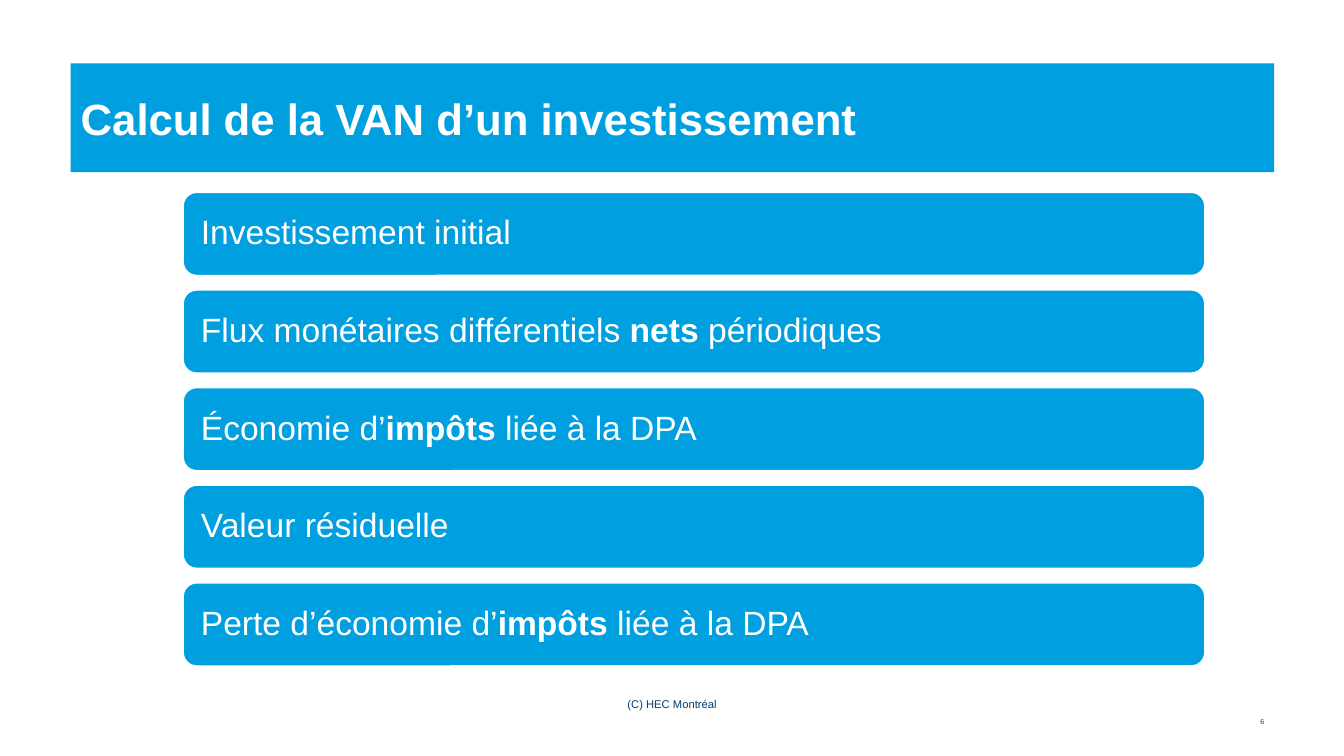
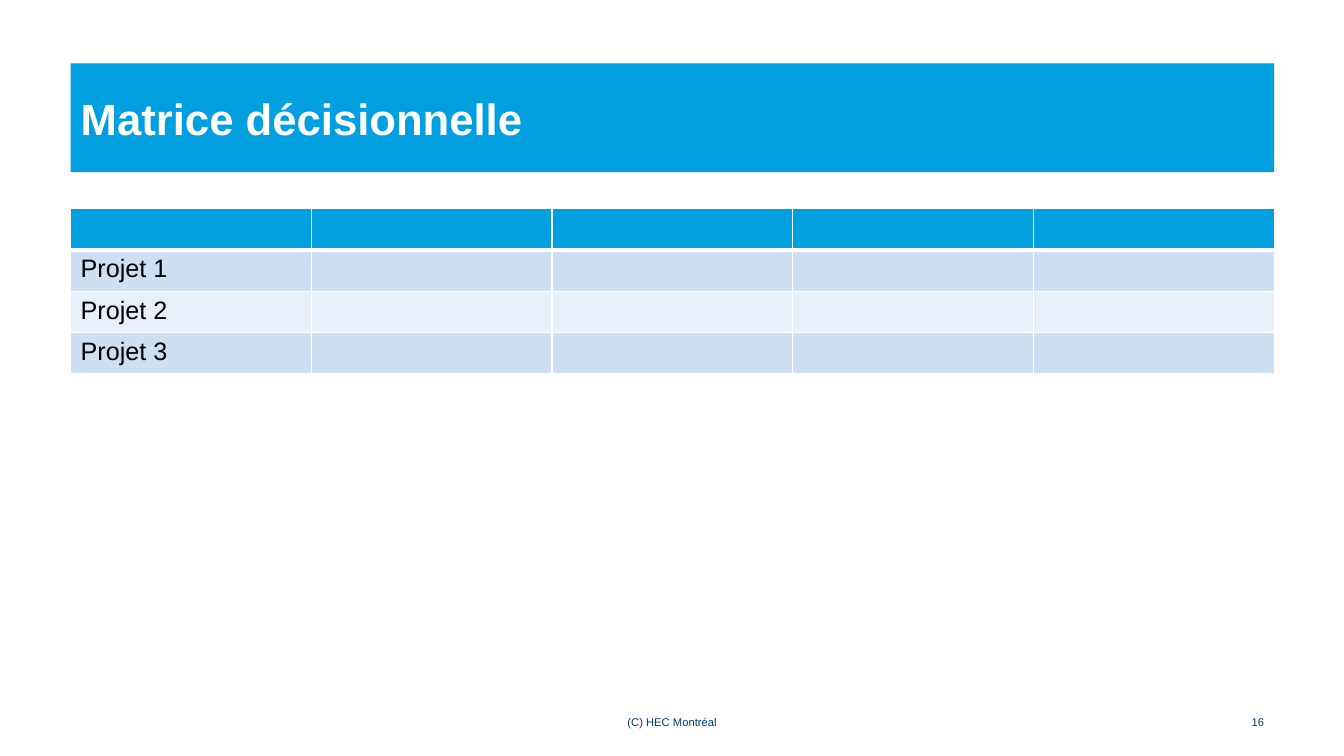
from dataclasses import dataclass

from lxml import etree
from pptx import Presentation
from pptx.dml.color import RGBColor
from pptx.enum.shapes import MSO_SHAPE
from pptx.enum.text import MSO_ANCHOR, MSO_AUTO_SIZE, PP_ALIGN
from pptx.oxml.ns import qn
from pptx.util import Cm, Pt

LEFT, MID, RIGHT = PP_ALIGN.LEFT, PP_ALIGN.CENTER, PP_ALIGN.RIGHT
CENTRE = MSO_ANCHOR.MIDDLE
NO_FIT = MSO_AUTO_SIZE.NONE
ROUND = MSO_SHAPE.ROUNDED_RECTANGLE
TITLE_ONLY = 5


@dataclass(frozen=True)
class Theme:
    font: str = "Arial"
    blue: str = "009FDF"
    navy: str = "003C71"
    white: str = "FFFFFF"
    black: str = "000000"
    bands: tuple = ("CCDFF3", "E7F0F9")
    head: float = 31.2
    card: float = 24
    cell: float = 18
    foot: float = 8
    tiny: float = 5


T = Theme()

# Regions: left, top, width, height in centimetres
TITLE = (1.78, 1.6, 30.33, 2.74)
CARDS = (4.6, 4.83, 25.78, 11.97)
GRID = (1.78, 5.26, 30.33, 4.16)
FOOT = (11.58, 10.72, 0.46)  # left, width, height
PAGE = (30.38, 17.96, 1.73, 0.46)


def place(box):
    return [Cm(n) for n in box]


def paint(item, color):
    item.fill.solid()
    item.fill.fore_color.rgb = RGBColor.from_string(color)


def write(frame, text, size, color, bold=False, align=LEFT, space=None):
    """Fill a frame with one paragraph; *stars* mark bold words."""
    frame.word_wrap = True
    frame.vertical_anchor = CENTRE
    para = frame.paragraphs[0]
    para.alignment = align
    if space:
        para.line_spacing = space
    for i, part in enumerate(text.split("*")):
        run = para.add_run()
        run.text = part
        font = run.font
        font.name, font.size = T.font, Pt(size)
        font.bold = bold or i % 2 == 1
        font.color.rgb = RGBColor.from_string(color)


def label(slide, box, text, size, align):
    frame = slide.shapes.add_textbox(*place(box)).text_frame
    frame.margin_top = frame.margin_bottom = 0
    write(frame, text, size, T.navy, align=align)


def start(prs, title, page, size, top):
    """Add a slide with its title band, footer and page number."""
    slide = prs.slides.add_slide(prs.slide_layouts[TITLE_ONLY])
    band = slide.shapes.title
    band.left, band.top, band.width, band.height = place(TITLE)
    paint(band, T.blue)
    band.text_frame.auto_size = NO_FIT
    write(band.text_frame, title, T.head, T.white, bold=True)
    left, width, height = FOOT
    label(slide, (left, top, width, height), "(C) HEC Montréal", T.foot, MID)
    label(slide, PAGE, page, size, RIGHT)
    return slide


def stack(slide, box, items, gap=0.33):
    """Stack equal rounded cards in the box."""
    left, top, width, height = box
    tall = (height - gap * (len(items) - 1)) / len(items)
    for i, text in enumerate(items):
        spot = (left, top + i * (tall + gap), width, tall)
        card = slide.shapes.add_shape(ROUND, *place(spot))
        card.shadow.inherit = False
        paint(card, T.blue)
        card.line.color.rgb = RGBColor.from_string(T.white)
        card.line.width = Pt(2)
        card.text_frame.margin_left = Cm(0.36)
        write(card.text_frame, text, T.card, T.white, space=0.9)


def edge(cell, base):
    """Draw white borders; base is the width of the lower one."""
    props = cell._tc.get_or_add_tcPr()
    for side, width in (("L", 1), ("R", 1), ("T", 1), ("B", base)):
        line = etree.SubElement(props, qn(f"a:ln{side}"), w=str(Pt(width)))
        fill = etree.SubElement(line, qn("a:solidFill"))
        etree.SubElement(fill, qn("a:srgbClr"), val=T.white)


def matrix(slide, box, names, cols):
    """Table with an empty header and one banded row per name."""
    rows = len(names) + 1
    table = slide.shapes.add_table(rows, cols, *place(box)).table
    for r, row in enumerate(table.rows):
        for cell in row.cells:
            edge(cell, 1 if r else 3)
            paint(cell, T.bands[(r - 1) % 2] if r else T.blue)
    for r, name in enumerate(names, 1):
        cell = table.cell(r, 0)
        write(cell.text_frame, name, T.cell, T.black)


def main():
    prs = Presentation()
    prs.slide_width, prs.slide_height = Cm(33.87), Cm(19.05)

    # Steps of the calculation
    slide = start(prs, "Calcul de la VAN d’un investissement", "6", T.tiny, 17.5)
    stack(slide, CARDS, [
        "Investissement initial",
        "Flux monétaires différentiels *nets* périodiques",
        "Économie d’*impôts* liée à la DPA",
        "Valeur résiduelle",
        "Perte d’économie d’*impôts* liée à la DPA",
    ])

    # Decision matrix
    slide = start(prs, "Matrice décisionnelle", "16", T.foot, 17.96)
    matrix(slide, GRID, ["Projet 1", "Projet 2", "Projet 3"], 5)

    prs.save("out.pptx")


if __name__ == "__main__":
    main()
